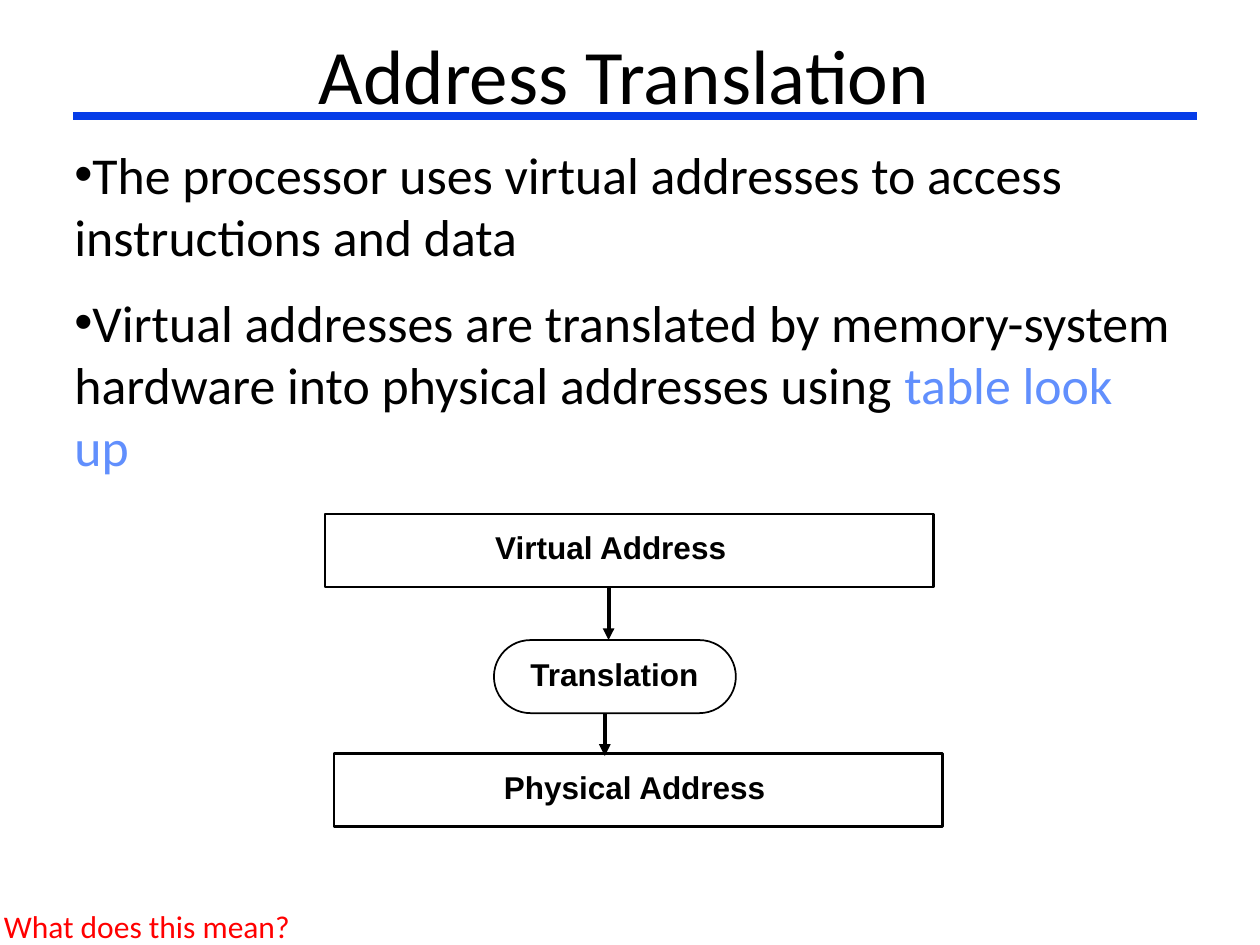
from lxml import etree
from pptx import Presentation
from pptx.dml.color import RGBColor
from pptx.enum import shapes, text
from pptx.oxml.ns import qn
from pptx.util import Inches, Pt

COLORS = {"ink": "000000", "rule": "063DE8", "accent": "618FFD", "note": "FF0000"}
TITLE = {"name": "Calibri", "size": Pt(44), "bold": False}
BODY = {"name": "Calibri", "size": Pt(29.6), "bold": False}
LABEL = {"name": "Arial", "size": Pt(18), "bold": True}
NOTE = {"name": "Calibri", "size": Pt(18), "bold": False}

BOX_W, BOX_H = 4.83, 0.58


def place(sp, left, top, width, height):
    box = {"left": left, "top": top, "width": width, "height": height}
    for key, value in box.items():
        setattr(sp, key, Inches(value))


def add_run(p, words, style, color="ink"):
    r = p.add_run()
    r.text = words
    for key, value in style.items():
        setattr(r.font, key, value)
    r.font.color.rgb = RGBColor.from_string(COLORS[color])


def set_frame(tf, anchor):
    frame = {"word_wrap": True, "auto_size": text.MSO_AUTO_SIZE.NONE,
             "vertical_anchor": anchor, "margin_left": Inches(0.09),
             "margin_right": Inches(0.09), "margin_top": Inches(0.05),
             "margin_bottom": Inches(0.05)}
    for key, value in frame.items():
        setattr(tf, key, value)


def add_bullet(p):
    pPr = p._p.get_or_add_pPr()
    pPr.set("marL", "0")
    pPr.set("indent", "0")
    etree.SubElement(pPr, qn("a:buFont")).set("typeface", "Arial")
    etree.SubElement(pPr, qn("a:buChar")).set("char", "•")


def fill_title(sp, words):
    place(sp, 0.83, 0.17, 8.25, 0.83)
    set_frame(sp.text_frame, text.MSO_ANCHOR.MIDDLE)
    p = sp.text_frame.paragraphs[0]
    p.alignment = text.PP_ALIGN.CENTER
    add_run(p, words, TITLE)


def fill_body(sp, items):
    place(sp, 0.5, 1.08, 8.92, 2.5)
    tf = sp.text_frame
    set_frame(tf, text.MSO_ANCHOR.TOP)
    for i, (space, runs) in enumerate(items):
        p = tf.add_paragraph() if i else tf.paragraphs[0]
        p.space_before = Pt(space)
        add_bullet(p)
        for words, color in runs:
            add_run(p, words, BODY, color)


def add_box(slide, kind, left, top, width, weight):
    sp = slide.shapes.add_shape(kind, *map(Inches, (left, top, width, BOX_H)))
    sp.shadow.inherit = False
    sp.fill.background()
    sp.line.color.rgb = RGBColor.from_string(COLORS["ink"])
    sp.line.width = Pt(weight)
    return sp


def add_text(slide, words, left, top, width, style, color="ink", spacing=None):
    sp = slide.shapes.add_textbox(*map(Inches, (left, top, width, 0.38)))
    set_frame(sp.text_frame, text.MSO_ANCHOR.TOP)
    p = sp.text_frame.paragraphs[0]
    p.line_spacing = spacing
    add_run(p, words, style, color)


def add_line(slide, start, end, weight, color="ink", arrow=False):
    line = slide.shapes.add_connector(shapes.MSO_CONNECTOR.STRAIGHT,
                                      *map(Inches, start + end))
    line.line.color.rgb = RGBColor.from_string(COLORS[color])
    line.line.width = Pt(weight)
    if arrow:
        ln = line.line._get_or_add_ln()
        etree.SubElement(ln, qn("a:tailEnd")).set("type", "triangle")
    etree.SubElement(line._element.spPr, qn("a:effectLst"))


def main():
    prs = Presentation()
    prs.slide_width, prs.slide_height = Inches(10), Inches(7.5)
    slide = prs.slides.add_slide(prs.slide_layouts[1])

    # Title and bullets
    fill_title(slide.shapes.title, "Address Translation")
    fill_body(slide.placeholders[1], [
        (8.2, [("The processor uses virtual addresses to access "
                "instructions and data", "ink")]),
        (13.6, [("Virtual addresses are translated by memory-system hardware "
                 "into physical addresses using ", "ink"),
                ("table look up", "accent")]),
    ])

    # Translation steps, top to bottom
    rect = shapes.MSO_SHAPE.RECTANGLE
    add_box(slide, rect, 2.58, 4.08, BOX_W, 1.5)
    pill = add_box(slide, shapes.MSO_SHAPE.ROUNDED_RECTANGLE, 3.92, 5.08, 1.92, 1)
    pill.adjustments[0] = 0.5
    add_box(slide, rect, 2.65, 5.98, BOX_W, 1.5)
    for words, left, top, width in [("Virtual Address", 3.84, 4.17, 2.04),
                                    ("Translation", 4.12, 5.18, 1.55),
                                    ("Physical Address", 3.91, 6.07, 2.27)]:
        add_text(slide, words, left, top, width, LABEL, spacing=0.93)

    # Arrows between the steps
    for x, top, bottom in [(4.83, 4.67, 5.08), (4.8, 5.66, 6)]:
        add_line(slide, (x, top), (x, bottom), 2.25, arrow=True)

    # Title rule and footnote
    add_line(slide, (0.58, 0.92), (9.5, 0.92), 4.5, "rule")
    add_text(slide, "What does this mean?", -0.06, 7.15, 10.29, NOTE, "note")

    prs.save("out.pptx")


if __name__ == "__main__":
    main()
